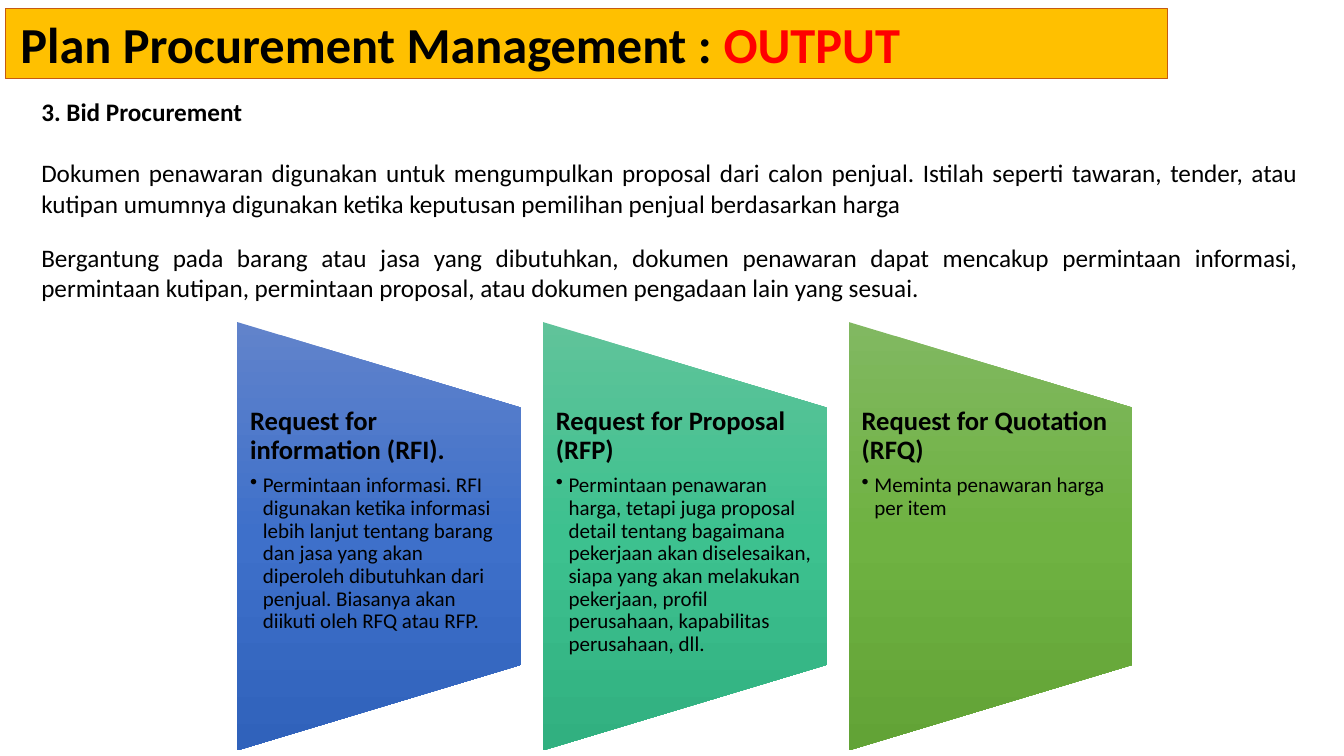
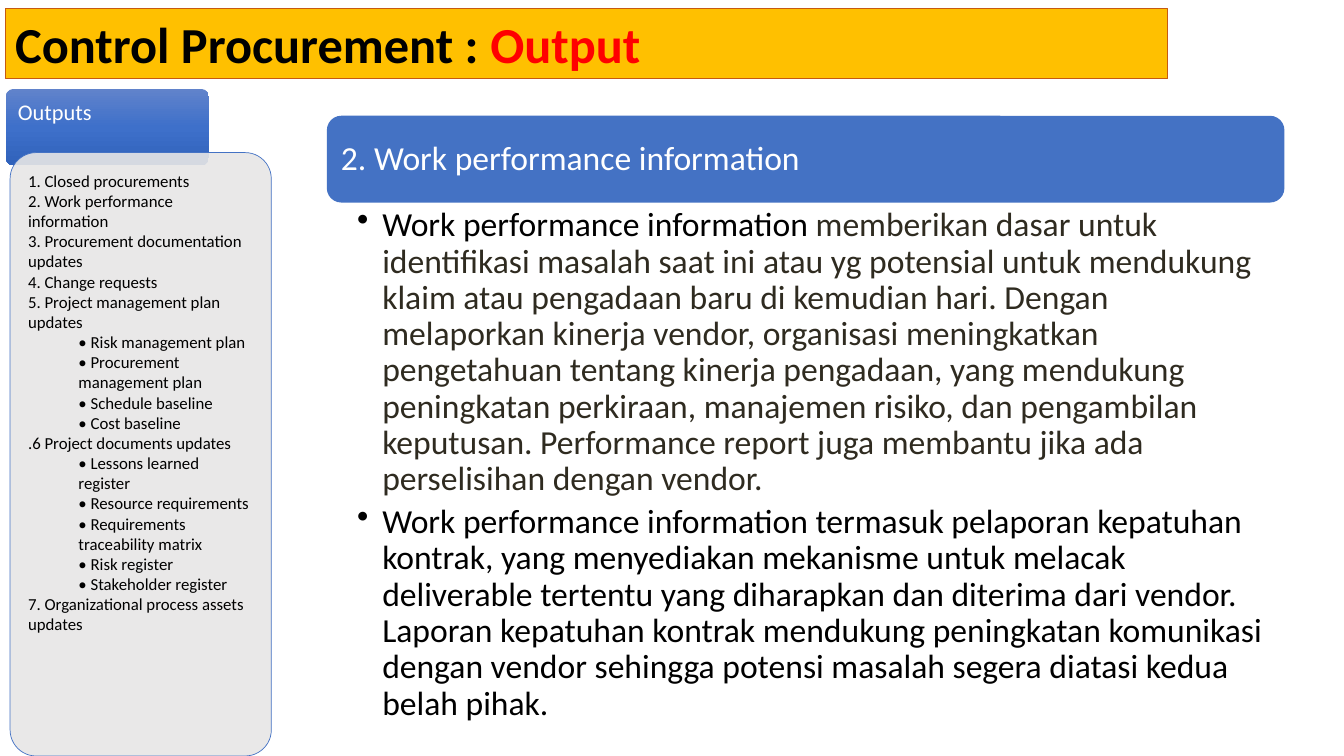
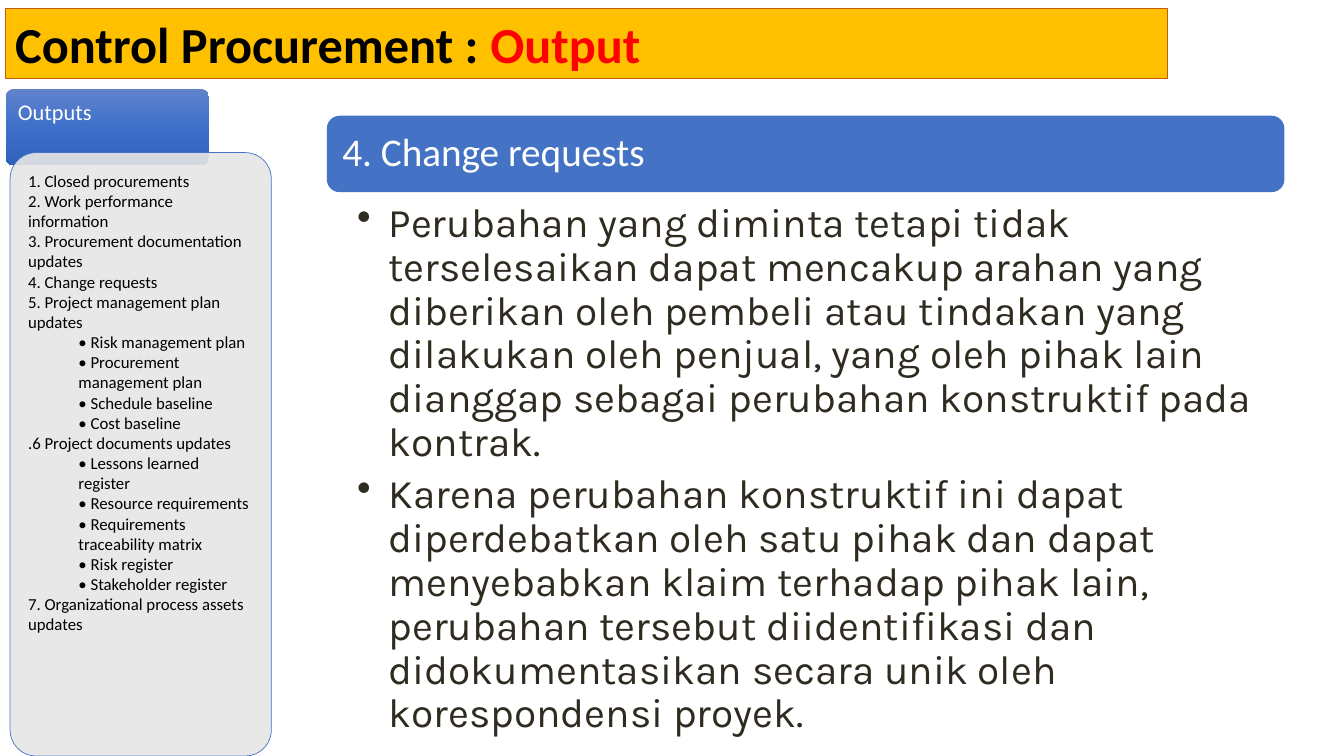
from dataclasses import dataclass
from lxml import etree
from pptx import Presentation
from pptx.dml.color import RGBColor
from pptx.enum import shapes, text
from pptx.oxml import ns
from pptx.util import Pt

BLACK = RGBColor(0x00, 0x00, 0x00)
WHITE = RGBColor(0xFF, 0xFF, 0xFF)
RED = RGBColor(0xFF, 0x00, 0x00)
GOLD = RGBColor(0xFF, 0xC0, 0x00)
RUST = RGBColor(0xC5, 0x5A, 0x11)
BLUE = RGBColor(0x44, 0x72, 0xC4)
GREY = RGBColor(0xE7, 0xE6, 0xE6)
DARK = RGBColor(0x2F, 0x2B, 0x20)
BLUES = tuple(map(RGBColor.from_string, ("6183CB", "3E70CA", "3062BB")))
TEALS = tuple(map(RGBColor.from_string, ("60C39A", "3DC18F", "31B080")))
GREENS = tuple(map(RGBColor.from_string, ("81B861", "6FB242", "62A336")))

KIND = shapes.MSO_SHAPE
LEFT = text.PP_ALIGN.LEFT
FULL = text.PP_ALIGN.JUSTIFY
TOP = text.MSO_ANCHOR.TOP
MIDDLE = text.MSO_ANCHOR.MIDDLE


@dataclass(frozen=True)
class Box:
    x: float
    y: float
    w: float
    h: float

    def size(self):
        return Pt(self.x), Pt(self.y), Pt(self.w), Pt(self.h)


@dataclass(frozen=True)
class Run:
    text: str
    color: RGBColor = BLACK


@dataclass(frozen=True)
class Card:
    head: str
    body: str
    shades: tuple


@dataclass(frozen=True)
class Topic:
    head: str
    points: tuple
    head_size: float
    head_h: float
    head_pad: float
    body: Box
    body_pad: tuple
    body_size: float
    hang: float
    font: str = "Calibri"


CARDS = (
    Card("Request for information (RFI).",
         "Permintaan informasi. RFI digunakan ketika informasi lebih lanjut tentang barang "
         "dan jasa yang akan diperoleh dibutuhkan dari penjual. Biasanya akan diikuti oleh "
         "RFQ atau RFP.", BLUES),
    Card("Request for Proposal (RFP)",
         "Permintaan penawaran harga, tetapi juga proposal detail tentang bagaimana "
         "pekerjaan akan diselesaikan, siapa yang akan melakukan pekerjaan, profil "
         "perusahaan, kapabilitas perusahaan, dll.", TEALS),
    Card("Request for Quotation (RFQ)", "Meminta penawaran harga per item", GREENS),
)

OUTPUTS = (
    "1. Closed procurements",
    "2. Work performance information",
    "3. Procurement documentation",
    "updates",
    "4. Change requests",
    "5. Project management plan",
    "updates",
    "• Risk management plan",
    "• Procurement management plan",
    "• Schedule baseline",
    "• Cost baseline",
    ".6 Project documents updates",
    "• Lessons learned register",
    "• Resource requirements",
    "• Requirements traceability matrix",
    "• Risk register",
    "• Stakeholder register",
    "7. Organizational process assets",
    "updates",
)

TOPICS = (
    Topic(
        "2. Work performance information",
        ((Run("Work performance information "),
          Run("memberikan dasar untuk identifikasi masalah saat ini atau yg potensial untuk "
              "mendukung klaim atau pengadaan baru di kemudian hari. Dengan melaporkan "
              "kinerja vendor, organisasi meningkatkan pengetahuan tentang kinerja "
              "pengadaan, yang mendukung peningkatan perkiraan, manajemen risiko, dan "
              "pengambilan keputusan. Performance report juga membantu jika ada "
              "perselisihan dengan vendor.", DARK)),
         (Run("Work performance information termasuk pelaporan kepatuhan kontrak, yang "
              "menyediakan mekanisme untuk melacak deliverable tertentu yang diharapkan dan "
              "diterima dari vendor. Laporan kepatuhan kontrak mendukung peningkatan "
              "komunikasi dengan vendor sehingga potensi masalah segera diatasi kedua "
              "belah pihak."),)),
        head_size=24, head_h=62, head_pad=7.2, body=Box(233.5, 146, 684, 383),
        body_pad=(21.6, 2.4, 13.6, 2.4), body_size=24, hang=18),
    Topic(
        "4. Change requests",
        ((Run("Perubahan yang diminta tetapi tidak terselesaikan dapat mencakup arahan yang "
              "diberikan oleh pembeli atau tindakan yang dilakukan oleh penjual, yang oleh "
              "pihak lain dianggap sebagai perubahan konstruktif pada kontrak.", DARK),),
         (Run("Karena perubahan konstruktif ini dapat diperdebatkan oleh satu pihak dan dapat "
              "menyebabkan klaim terhadap pihak lain, perubahan tersebut diidentifikasi dan "
              "didokumentasikan secara unik oleh korespondensi proyek.", DARK),)),
        head_size=28, head_h=54.6, head_pad=8.4, body=Box(233.5, 141, 684, 386),
        body_pad=(21.6, 3.6, 20.6, 3.6), body_size=29, hang=22.5, font="Karla"),
)


def set_frame(shape, pad=(7.2, 3.6, 7.2, 3.6), anchor=TOP):
    """Wrap the text and set left, top, right and bottom margins."""
    frame = shape.text_frame
    frame.word_wrap = True
    frame.vertical_anchor = anchor
    frame.margin_left, frame.margin_top, frame.margin_right, frame.margin_bottom = map(Pt, pad)
    return frame


def write(frame, *runs: Run, size=18.0, bold=False, font="Calibri", align=LEFT,
          pitch=1.0, before=0.0, after=0.0, inset=0.0, bullet=False):
    """Add a paragraph; a bullet hangs in the inset."""
    para = frame.paragraphs[0]
    if para.runs:
        para = frame.add_paragraph()
    props = para._p.get_or_add_pPr()
    if inset:
        props.set("marL", str(Pt(inset)))
        props.set("indent", str(Pt(-inset if bullet else 0)))
    if bullet:
        etree.SubElement(props, ns.qn("a:buChar")).set("char", "•")
    para.alignment = align
    para.line_spacing = pitch
    para.space_before, para.space_after = Pt(before), Pt(after)
    for item in runs:
        run = para.add_run()
        run.text = item.text
        run.font.name, run.font.size, run.font.bold = font, Pt(size), bold
        run.font.color.rgb = item.color


def shade(shape, colors):
    """Fill from top to bottom, whatever the turn of the shape."""
    shape.fill.background()
    props = shape._element.spPr
    grad = etree.Element(ns.qn("a:gradFill"), rotWithShape="0")
    stops = etree.SubElement(grad, ns.qn("a:gsLst"))
    for i, color in enumerate(colors):
        stop = etree.SubElement(stops, ns.qn("a:gs"), pos=str(50000 * i))
        etree.SubElement(stop, ns.qn("a:srgbClr"), val=str(color))
    etree.SubElement(grad, ns.qn("a:lin"), ang="5400000", scaled="0")
    props.replace(props.find(ns.qn("a:noFill")), grad)


def draw(slide, kind, box: Box, fill, line=None, width=0.75, alpha=100):
    """Draw a preset shape; a tuple of colours makes a gradient."""
    shape = slide.shapes.add_shape(kind, *box.size())
    shape.shadow.inherit = False
    if isinstance(fill, RGBColor):
        shape.fill.solid()
        shape.fill.fore_color.rgb = fill
        if alpha < 100:
            color = shape._element.spPr.find(".//" + ns.qn("a:srgbClr"))
            etree.SubElement(color, ns.qn("a:alpha"), val=str(alpha * 1000))
    else:
        shade(shape, fill)
    if line is None:
        shape.line.fill.background()
    else:
        shape.line.color.rgb = line
        shape.line.width = Pt(width)
    return shape


def add_text(slide, box: Box, pad=(7.2, 3.6, 7.2, 3.6)):
    return set_frame(slide.shapes.add_textbox(*box.size()), pad)


def start(deck, title: str, tail: str, left=6.8):
    """Add a slide with the title band."""
    slide = deck.slides.add_slide(deck.slide_layouts[6])
    band = draw(slide, KIND.RECTANGLE, Box(4, 6, 830, 50.4), GOLD, RUST)
    frame = set_frame(band, (left, 3.6, 6.8, 3.6))
    write(frame, Run(title), Run(tail, RED), size=36, bold=True)
    return slide


def add_card(slide, card: Card, x: float):
    side, tall, mid = 203.0, 306.0, 383.0
    box = Box(x + (side - tall) / 2, mid - side / 2, tall, side)
    draw(slide, KIND.FLOWCHART_MANUAL_OPERATION, box, card.shades).rotation = 270
    frame = add_text(slide, Box(x, 291.2, side, 183.6), (9.4, 0, 9.4, 0))
    write(frame, Run(card.head), size=19, bold=True, pitch=0.9, after=6.65)
    write(frame, Run(card.body), size=15, pitch=0.9, after=2.25, inset=9, bullet=True)


def add_bids(deck):
    slide = start(deck, "Plan Procurement Management : ", "OUTPUT", left=10.6)
    frame = add_text(slide, Box(22.4, 65.5, 912, 94.5))
    write(frame, Run("3. Bid Procurement"), bold=True)
    write(frame, Run("Dokumen penawaran digunakan untuk mengumpulkan proposal dari calon penjual. "
                     "Istilah seperti tawaran, tender, atau kutipan umumnya digunakan ketika "
                     "keputusan pemilihan penjual berdasarkan harga"), align=FULL, before=22)
    frame = add_text(slide, Box(22.4, 169.3, 912, 51))
    write(frame, Run("Bergantung pada barang atau jasa yang dibutuhkan, dokumen penawaran dapat "
                     "mencakup permintaan informasi, permintaan kutipan, permintaan proposal, "
                     "atau dokumen pengadaan lain yang sesuai."), align=FULL)
    for i, card in enumerate(CARDS):
        add_card(slide, card, 169.3 + 218.4 * i)


def add_list(slide):
    """Draw the tab and the list of outputs."""
    tab = draw(slide, KIND.ROUNDED_RECTANGLE, Box(4.2, 63.5, 145, 54.5), BLUES)
    tab.adjustments[0] = 0.1
    write(set_frame(tab, (7, 7, 7, 21)), Run("Outputs", WHITE), size=16, pitch=0.9)
    panel = draw(slide, KIND.ROUNDED_RECTANGLE, Box(7.2, 109, 186.6, 431), GREY,
                 BLUE, width=0.5, alpha=90)
    panel.adjustments[0] = 0.1
    frame = set_frame(panel, (7.4,) * 4)
    for item in OUTPUTS:
        write(frame, Run(item), size=12, inset=36 if item.startswith("•") else 0)


def add_topic(deck, topic: Topic):
    slide = start(deck, "Control Procurement : ", "Output")
    bar = draw(slide, KIND.ROUNDED_RECTANGLE, Box(233.5, 82.7, 684, topic.head_h), BLUE)
    frame = set_frame(bar, (topic.head_pad,) * 4, MIDDLE)
    write(frame, Run(topic.head, WHITE), size=topic.head_size, pitch=0.9)
    frame = add_text(slide, topic.body, topic.body_pad)
    for point in topic.points:
        write(frame, *point, size=topic.body_size, font=topic.font, pitch=0.9,
              after=topic.body_size * 0.2, inset=topic.hang, bullet=True)
    add_list(slide)


def main():
    deck = Presentation()
    deck.slide_width, deck.slide_height = Pt(960), Pt(540)
    add_bids(deck)
    for topic in TOPICS:
        add_topic(deck, topic)
    deck.save("out.pptx")


if __name__ == "__main__":
    main()
